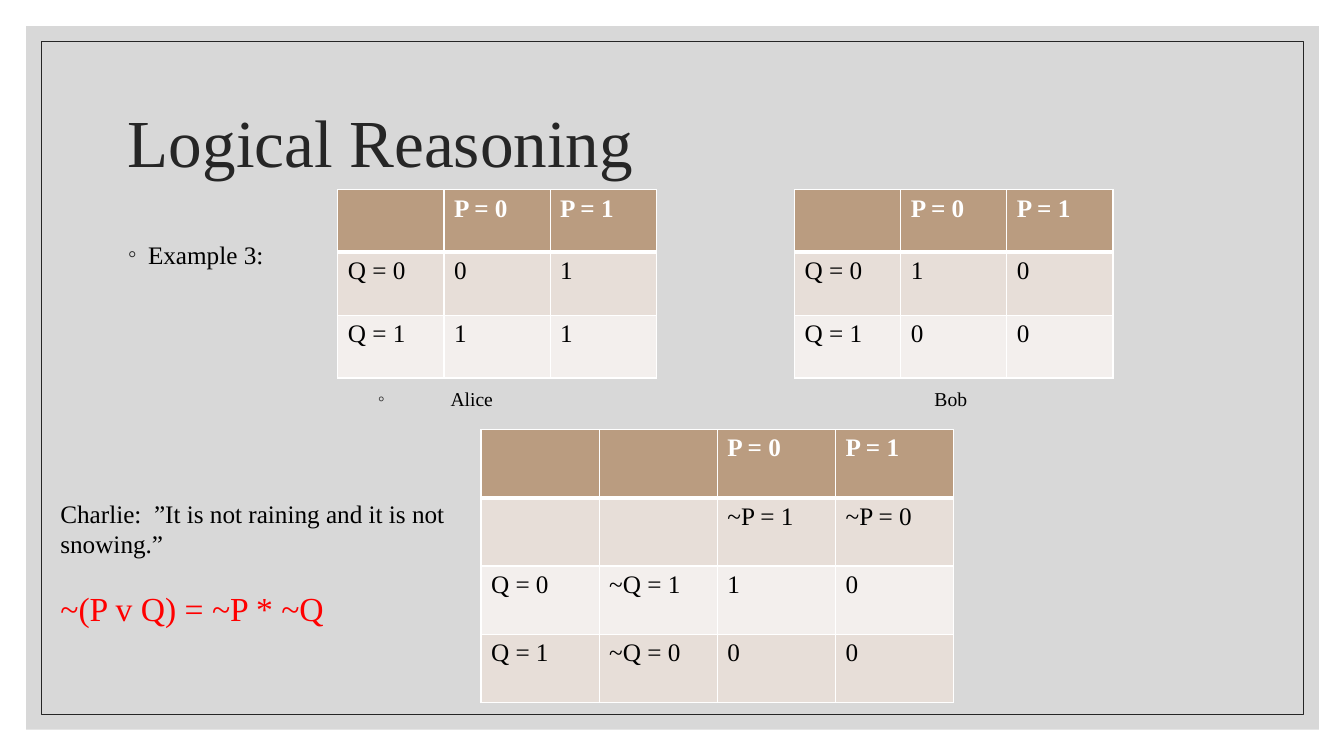
from lxml.etree import SubElement as Sub
from pptx import Presentation
from pptx.dml.color import RGBColor as Rgb
from pptx.enum.shapes import MSO_SHAPE as Kind
from pptx.enum.text import MSO_ANCHOR as Anchor
from pptx.oxml.ns import qn
from pptx.util import Pt

PX = 9144
FONT = "Times New Roman"
HEX = {
    "panel": "BFBFBF", "dark": "262626", "black": "000000", "white": "FFFFFF",
    "red": "FF0000", "head": "BA9C80", "odd": "E7DED8", "even": "F3EFED",
}


def style(para, size, color, bold=False):
    font = para.font
    font.name, font.size, font.bold = FONT, Pt(size), bold
    font.color.rgb = Rgb.from_string(HEX[color])


def write(box, lines):
    frame = slide.shapes.add_textbox(*[n * PX for n in box]).text_frame
    frame.word_wrap = True
    for i, (text, size, color) in enumerate(lines):
        para = frame.add_paragraph() if i else frame.paragraphs[0]
        para.text = text
        style(para, size, color)
    return frame


deck = Presentation()
deck.slide_width, deck.slide_height = 1333 * PX, 750 * PX
slide = deck.slides.add_slide(deck.slide_layouts[6])

panel = slide.shapes.add_shape(Kind.RECTANGLE, 26 * PX, 26 * PX, 1282 * PX, 698 * PX)
panel.shadow.inherit = False
panel.fill.solid()
panel.fill.fore_color.rgb = Rgb.from_string(HEX["panel"])
panel.line.fill.background()
tint = panel.fill._xPr.find(qn("a:solidFill"))[0]
Sub(tint, qn("a:alpha"), val="60000")

frame = slide.shapes.add_shape(Kind.RECTANGLE, 41 * PX, 41 * PX, 1252 * PX, 668 * PX)
frame.shadow.inherit = False
frame.fill.background()
frame.line.color.rgb = Rgb.from_string(HEX["dark"])
frame.line.width = Pt(0.5)

title = write((117, 70, 1100, 150), [("Logical Reasoning", 48, "dark")])
title.vertical_anchor = Anchor.MIDDLE
title.paragraphs[0].line_spacing = 0.9

points = [
    ((117, 232, 200, 39), "Example 3:", 18, 20),
    ((365, 379, 250, 32), "Alice", 14, 72),
]
for box, text, size, indent in points:
    props = write(box, [(text, size, "black")]).paragraphs[0]._p.get_or_add_pPr()
    props.set("marL", str(indent * PX))
    props.set("indent", str(-indent * PX))
    mark = Sub(props, qn("a:buClr"))
    Sub(mark, qn("a:srgbClr"), val=HEX["dark"])
    Sub(props, qn("a:buFont"), typeface=FONT)
    Sub(props, qn("a:buChar"), char="◦")
    props.append(props.find(qn("a:defRPr")))
write((917, 379, 150, 32), [("Bob", 14, "black")])

grids = [
    ((477, 426, 469, 271), [
        ["", "", "P = 0", "P = 1"],
        ["", "", "~P = 1", "~P = 0"],
        ["Q = 0", "~Q = 1", "1", "0"],
        ["Q = 1", "~Q = 0", "0", "0"],
    ]),
    ((335, 188, 316, 187), [
        ["", "P = 0", "P = 1"],
        ["Q = 0", "0", "1"],
        ["Q = 1", "1", "1"],
    ]),
    ((788, 188, 316, 187), [
        ["", "P = 0", "P = 1"],
        ["Q = 0", "1", "0"],
        ["Q = 1", "0", "0"],
    ]),
]
for box, rows in grids:
    spot = [n * PX for n in box]
    table = slide.shapes.add_table(len(rows), len(rows[0]), *spot).table
    for r, row in enumerate(rows):
        fill = "head" if r == 0 else "odd" if r % 2 else "even"
        for c, text in enumerate(row):
            cell = table.cell(r, c)
            cell.text = text
            style(cell.text_frame.paragraphs[0], 18, "black" if r else "white", r == 0)
            props = cell._tc.get_or_add_tcPr()
            for side in ("lnL", "lnR", "lnT", "lnB"):
                thick = (r, side) in ((0, "lnB"), (1, "lnT"))
                edge = Sub(props, qn("a:" + side), w=str(Pt(3 if thick else 1)))
                Sub(Sub(edge, qn("a:solidFill")), qn("a:srgbClr"), val=HEX["white"])
            cell.fill.solid()
            cell.fill.fore_color.rgb = Rgb.from_string(HEX[fill])

claim = write((50, 489, 402, 141), [
    ("Charlie:  ”It is not raining and it is not snowing.”", 18, "black"),
    ("~(P v Q) = ~P * ~Q", 24, "red"),
])
claim.paragraphs[1].space_before = Pt(21)

deck.save("out.pptx")
